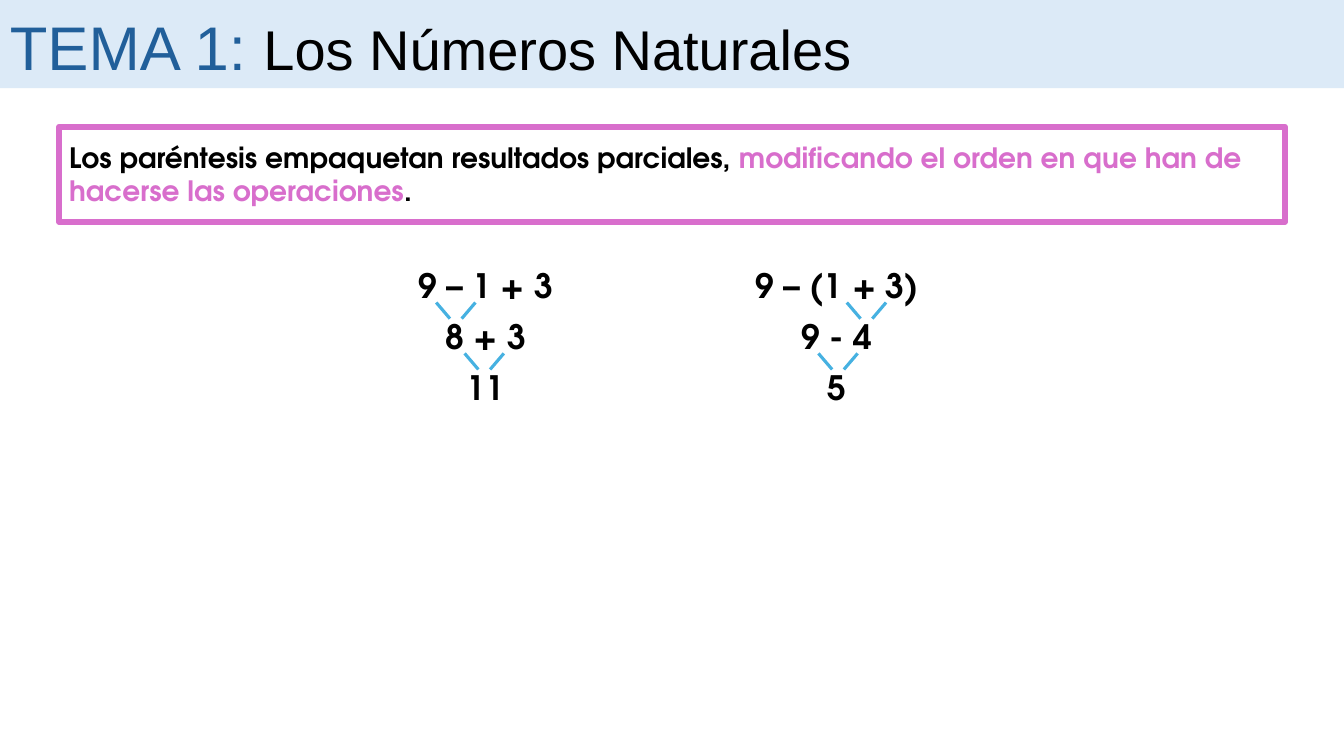
from dataclasses import dataclass

from lxml import etree
from pptx import Presentation
from pptx.dml.color import RGBColor
from pptx.enum.shapes import MSO_CONNECTOR, MSO_SHAPE
from pptx.enum.text import MSO_AUTO_SIZE, PP_ALIGN
from pptx.oxml.ns import qn
from pptx.util import Pt

RECTANGLE = MSO_SHAPE.RECTANGLE
STRAIGHT = MSO_CONNECTOR.STRAIGHT
LEFT, CENTER = PP_ALIGN.LEFT, PP_ALIGN.CENTER
FIT_SHAPE = MSO_AUTO_SIZE.SHAPE_TO_FIT_TEXT


@dataclass(frozen=True)
class Theme:
    band: RGBColor = RGBColor(0xDC, 0xEA, 0xF7)
    topic: RGBColor = RGBColor(0x21, 0x5F, 0x9A)
    ink: RGBColor = RGBColor(0, 0, 0)
    accent: RGBColor = RGBColor(0xD8, 0x6E, 0xCC)
    branch: RGBColor = RGBColor(0x46, 0xB1, 0xE1)
    title_font: str = "Arial"
    body_font: str = "TeX Gyre Adventor"
    topic_size: int = 44
    title_size: int = 40
    rule_size: int = 20
    sum_size: int = 24
    frame_width: float = 4.5
    branch_width: float = 2.25


THEME = Theme()


def add_text(page, box, spans, font, size, bold=False, align=LEFT):
    """Place one paragraph of (text, colour) spans and return it."""
    holder = page.shapes.add_textbox(*(Pt(length) for length in box))
    frame = holder.text_frame
    frame.word_wrap = True
    frame.auto_size = FIT_SHAPE
    para = frame.paragraphs[0]
    para.alignment = align
    para.font.name = font
    para.font.size = Pt(size)
    para.font.bold = bold
    for text, colour in spans:
        span = para.add_run()
        span.text = text
        span.font.color.rgb = colour
    return para


def add_rectangle(page, box):
    shape = page.shapes.add_shape(RECTANGLE, *(Pt(length) for length in box))
    shape.shadow.inherit = False
    return shape


def add_header(page, box):
    left, top, width, height = box
    # Full-width band
    band = add_rectangle(page, box)
    band.fill.solid()
    band.fill.fore_color.rgb = THEME.band
    band.line.fill.background()
    # Topic number and title
    para = add_text(page, (left, top + 2.7, width - 130, height - 2.7),
                    [("TEMA 1: ", THEME.topic),
                     ("Los Números Naturales", THEME.ink)],
                    THEME.title_font, THEME.title_size)
    para.runs[0].font.size = Pt(THEME.topic_size)


def add_rule(page, box):
    left, top, width, height = box
    # Outlined frame
    frame = add_rectangle(page, box)
    frame.fill.background()
    frame.line.color.rgb = THEME.accent
    frame.line.width = Pt(THEME.frame_width)
    # Statement of the rule
    add_text(page, (left, top + 6, width, height - 12),
             [("Los paréntesis empaquetan resultados parciales, ", THEME.ink),
              ("modificando el orden en que han de hacerse las operaciones",
               THEME.accent),
              (".", THEME.ink)],
             THEME.body_font, THEME.rule_size, bold=True)


def add_branches(page, box):
    """Draw two strokes that converge at the bottom of the box."""
    left, top, width, height = box
    reach = width * 0.35
    for start, end in ((left, left + reach),
                       (left + width, left + width - reach)):
        stroke = page.shapes.add_connector(
            STRAIGHT, Pt(start), Pt(top), Pt(end), Pt(top + height))
        stroke.line.color.rgb = THEME.branch
        stroke.line.width = Pt(THEME.branch_width)
        etree.SubElement(stroke._element.spPr, qn("a:effectLst"))


def add_worked_sum(page, box, steps, branch_offsets):
    left, top, width, height = box
    pitch = height / len(steps)
    # One centred line per step
    for row, step in enumerate(steps):
        add_text(page, (left, top + row * pitch, width, pitch),
                 [(step, THEME.ink)], THEME.body_font, THEME.sum_size,
                 bold=True, align=CENTER)
    # Strokes that lead each pair of terms to its result
    for row, offset in enumerate(branch_offsets):
        add_branches(page, (left + offset, top + row * pitch + 30.3, 28, 11.5))


def main():
    deck = Presentation()
    deck.slide_width, deck.slide_height = Pt(960), Pt(540)
    page = deck.slides.add_slide(deck.slide_layouts[6])
    add_header(page, (0, 0, 960, 63))
    add_rule(page, (42.3, 90.7, 875.5, 67.7))
    sums = [(("9 – 1 + 3", "8 + 3", "11"), (90, 110.3)),
            (("9 – (1 + 3)", "9 - 4", "5"), (132.5, 112.2))]
    column_width = 250.8
    for column, (steps, offsets) in enumerate(sums):
        add_worked_sum(page, (221.6 + column * column_width, 185.8,
                              column_width, 109), steps, offsets)
    deck.save("out.pptx")


if __name__ == "__main__":
    main()
